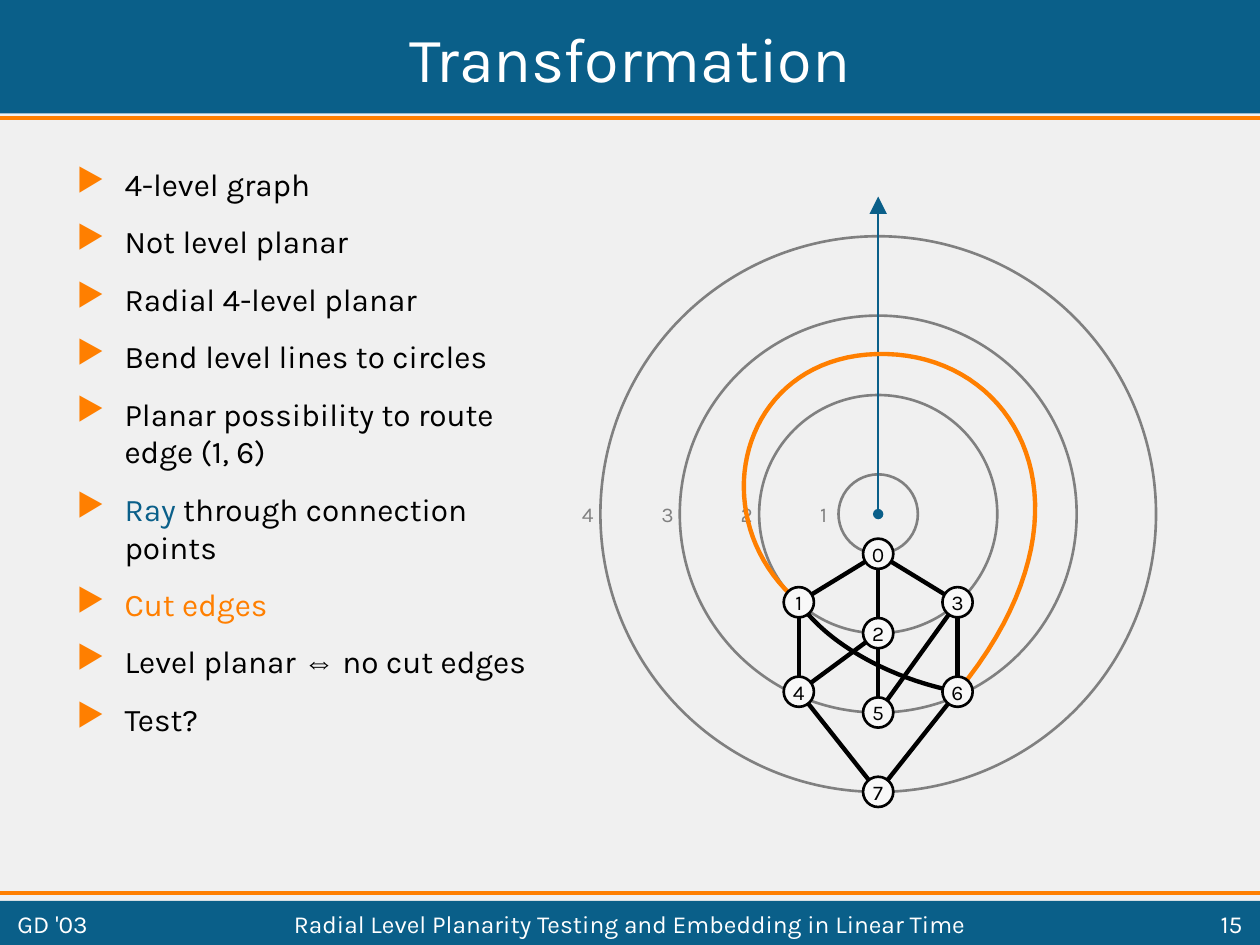
"""Build the slide on bending level lines into circles for radial planarity."""
from dataclasses import dataclass

from lxml import etree
from pptx import Presentation
from pptx import util as u
from pptx.dml import color
from pptx.enum import shapes, text
from pptx.oxml.ns import qn


@dataclass(frozen=True)
class Theme:
    background: str = "F0F0F0"
    blue: str = "0A5F89"
    orange: str = "FF7F00"
    gray: str = "808080"
    black: str = "000000"
    white: str = "FFFFFF"
    node: str = "F8F8F8"
    font: str = "Karla"
    symbol_font: str = "Arial"
    title: float = 36
    body: float = 18
    footer: float = 14
    label: float = 12
    thin: float = 1.5
    rule: float = 2.25
    edge: float = 2.5


THEME = Theme()

TITLE = "Transformation"
BULLETS = [
    [("4-level graph", THEME.black)],
    [("Not level planar", THEME.black)],
    [("Radial 4-level planar", THEME.black)],
    [("Bend level lines to circles", THEME.black)],
    [("Planar possibility to route edge (1, 6)", THEME.black)],
    [("Ray", THEME.blue), (" through connection points", THEME.black)],
    [("Cut edges", THEME.orange)],
    [("Level planar ", THEME.black), ("⇔", THEME.black, THEME.symbol_font),
     (" no cut edges", THEME.black)],
    [("Test?", THEME.black)],
]
FOOTERS = [
    ("GD '03", 0.04, 1.18, text.PP_ALIGN.LEFT),
    ("Radial Level Planarity Testing and Embedding in Linear Time",
     1.3, 7.4, text.PP_ALIGN.CENTER),
    ("15", 8.78, 1.18, text.PP_ALIGN.RIGHT),
]
BARS = [(0, 0.9), (7.15, 0.35)]
RULES = [0.94, 7.09]

CENTER_X, CENTER_Y, STEP = 6.97, 4.08, 0.63
LEVELS = 4
NODE_SIZE = 0.24
LEFT_X, RIGHT_X = CENTER_X - STEP, CENTER_X + STEP
UPPER_Y, LOWER_Y = 4.78, 5.49


def radius(level):
    return STEP * (level - 0.5)


NODES = {
    "0": (CENTER_X, CENTER_Y + radius(1)),
    "1": (LEFT_X, UPPER_Y),
    "2": (CENTER_X, CENTER_Y + radius(2)),
    "3": (RIGHT_X, UPPER_Y),
    "4": (LEFT_X, LOWER_Y),
    "5": (CENTER_X, CENTER_Y + radius(3)),
    "6": (RIGHT_X, LOWER_Y),
    "7": (CENTER_X, CENTER_Y + radius(4)),
}
EDGES = ["01", "02", "03", "14", "24", "25", "35", "36", "47", "67"]
CURVES = [
    (THEME.black, [NODES["1"], (6.59, 5.14), (7.12, 5.4), NODES["6"]]),
    (THEME.orange, [NODES["1"], (5.56, 4.12), (5.86, 2.84), (6.96, 2.81),
                    (8.06, 2.78), (8.8, 4.03), NODES["6"]]),
]


def rgb(value):
    return color.RGBColor.from_string(value)


def add_runs(paragraph, runs, size):
    for words, tint, *font in runs:
        run = paragraph.add_run()
        run.text = words
        run.font.name = font[0] if font else THEME.font
        run.font.size = u.Pt(size)
        run.font.color.rgb = rgb(tint)


def add_text(slide, box, words, tint, size, align=text.PP_ALIGN.LEFT,
             anchor=text.MSO_ANCHOR.MIDDLE, wrap=True):
    frame = slide.shapes.add_textbox(*map(u.Inches, box)).text_frame
    frame.word_wrap = wrap
    frame.vertical_anchor = anchor
    frame.paragraphs[0].alignment = align
    add_runs(frame.paragraphs[0], [(words, tint)], size)


def style_line(shape, tint, width):
    shape.line.color.rgb = rgb(tint)
    shape.line.width = u.Pt(width)


def add_line(slide, start, end, tint, width, ends=()):
    connector = slide.shapes.add_connector(
        shapes.MSO_CONNECTOR.STRAIGHT, *map(u.Inches, (*start, *end)))
    style_line(connector, tint, width)
    properties = connector.element.spPr
    for tag, kind, size in ends:
        etree.SubElement(properties.find(qn("a:ln")), qn(tag), type=kind, w=size, len=size)
    etree.SubElement(properties, qn("a:effectLst"))


def add_circle(slide, center, diameter, tint):
    left, top = (value - diameter / 2 for value in center)
    circle = slide.shapes.add_shape(
        shapes.MSO_SHAPE.OVAL, *map(u.Inches, (left, top, diameter, diameter)))
    circle.shadow.inherit = False
    circle.fill.background()
    style_line(circle, tint, THEME.thin)
    return circle


def add_node(slide, label, center):
    node = add_circle(slide, center, NODE_SIZE, THEME.black)
    node.fill.solid()
    node.fill.fore_color.rgb = rgb(THEME.node)
    frame = node.text_frame
    frame.word_wrap = False
    frame.vertical_anchor = text.MSO_ANCHOR.MIDDLE
    frame.paragraphs[0].alignment = text.PP_ALIGN.CENTER
    add_runs(frame.paragraphs[0], [(label, THEME.black)], THEME.label)


def bezier_point(controls, t):
    weights = ((1 - t) ** 3, 3 * t * (1 - t) ** 2, 3 * t ** 2 * (1 - t), t ** 3)
    return tuple(u.Inches(sum(w * c for w, c in zip(weights, axis)))
                 for axis in zip(*controls))


def add_curve(slide, controls, tint, steps=40):
    points = [bezier_point(controls[first:first + 4], step / steps)
              for first in range(0, len(controls) - 1, 3)
              for step in range(1, steps + 1)]
    builder = slide.shapes.build_freeform(*map(u.Inches, controls[0]))
    builder.add_line_segments(points, close=False)
    curve = builder.convert_to_shape()
    curve.shadow.inherit = False
    curve.fill.background()
    style_line(curve, tint, THEME.edge)


def add_bullets(slide):
    box = slide.shapes.add_textbox(*map(u.Inches, (0.51, 1.26, 3.78, 5.48)))
    frame = box.text_frame
    frame.word_wrap = True
    for index, runs in enumerate(BULLETS):
        paragraph = frame.add_paragraph() if index else frame.paragraphs[0]
        properties = paragraph._p.get_or_add_pPr()
        properties.set("marL", str(u.Inches(0.38)))
        properties.set("indent", str(u.Inches(-0.38)))
        tint = etree.SubElement(properties, qn("a:buClr"))
        etree.SubElement(tint, qn("a:srgbClr"), val=THEME.orange)
        etree.SubElement(properties, qn("a:buChar"), char="▶")
        if index:
            paragraph.space_before = u.Pt(11.2)
        add_runs(paragraph, runs, THEME.body)


def add_frame(slide):
    for top, height in BARS:
        bar = slide.shapes.add_shape(
            shapes.MSO_SHAPE.RECTANGLE, *map(u.Inches, (0, top, 10, height)))
        bar.shadow.inherit = False
        bar.fill.solid()
        bar.fill.fore_color.rgb = rgb(THEME.blue)
        bar.line.fill.background()
    for y in RULES:
        add_line(slide, (0, y), (10, y), THEME.orange, THEME.rule)
    add_text(slide, (0.04, 0.04, 9.92, 0.83), TITLE, THEME.white, THEME.title,
             text.PP_ALIGN.CENTER)
    for words, left, width, align in FOOTERS:
        add_text(slide, (left, 7.19, width, 0.28), words, THEME.white, THEME.footer, align)


def add_graph(slide):
    center = (CENTER_X, CENTER_Y)
    for level in range(1, LEVELS + 1):
        add_text(slide, (CENTER_X + 0.07 - STEP * level, 3.93, 0.29, 0.3), str(level),
                 THEME.gray, THEME.label, anchor=text.MSO_ANCHOR.TOP, wrap=False)
        add_circle(slide, center, 2 * radius(level), THEME.gray)
    for start, end in EDGES:
        add_line(slide, NODES[start], NODES[end], THEME.black, THEME.edge)
    add_line(slide, center, (CENTER_X, 1.56), THEME.blue, THEME.thin,
             [("a:headEnd", "oval", "med"), ("a:tailEnd", "triangle", "lg")])
    for tint, controls in CURVES:
        add_curve(slide, controls, tint)
    for label, position in NODES.items():
        add_node(slide, label, position)


def main():
    presentation = Presentation()
    presentation.slide_width, presentation.slide_height = u.Inches(10), u.Inches(7.5)
    slide = presentation.slides.add_slide(presentation.slide_layouts[6])
    slide.background.fill.solid()
    slide.background.fill.fore_color.rgb = rgb(THEME.background)
    add_frame(slide)
    add_bullets(slide)
    add_graph(slide)
    presentation.save("out.pptx")


if __name__ == "__main__":
    main()
